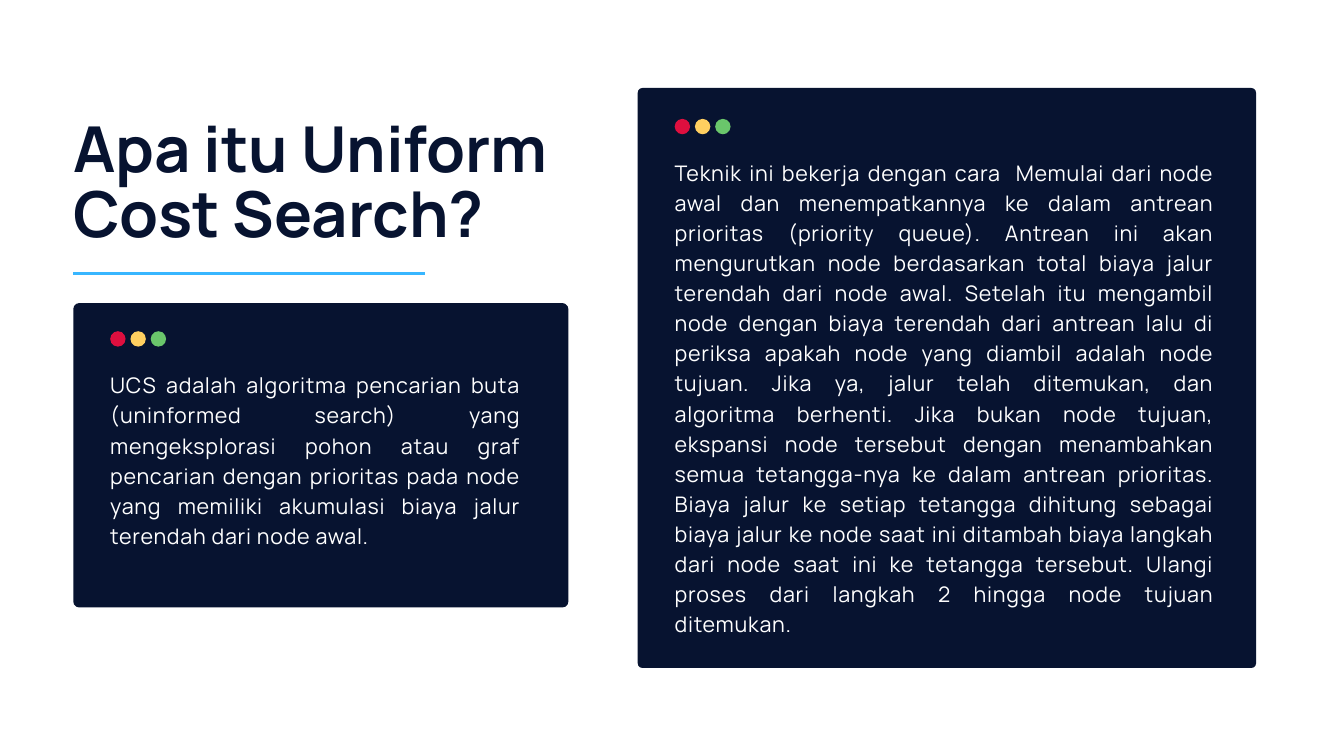
from lxml.etree import SubElement
from pptx import Presentation
from pptx.dml.color import RGBColor
from pptx.enum.shapes import MSO_CONNECTOR, MSO_SHAPE
from pptx.enum.text import PP_ALIGN
from pptx.oxml.ns import qn
from pptx.util import Pt

COLORS = {
    "navy": "071330",
    "white": "FFFFFF",
    "red": "DE0F3F",
    "yellow": "FFCF60",
    "green": "6AC66B",
    "blue": "38B6FF",
}
FONT = "Manrope"
TITLE = "Apa itu Uniform Cost Search?"
DEFINITION = (
    "UCS adalah algoritma pencarian buta (uninformed search) yang "
    "mengeksplorasi pohon atau graf pencarian dengan prioritas pada node "
    "yang memiliki akumulasi biaya jalur terendah dari node awal."
)
TECHNIQUE = (
    "Teknik ini bekerja dengan cara  Memulai dari node awal dan "
    "menempatkannya ke dalam antrean prioritas (priority queue). Antrean ini "
    "akan mengurutkan node berdasarkan total biaya jalur terendah dari node "
    "awal. Setelah itu mengambil node dengan biaya terendah dari antrean lalu "
    "di periksa apakah node yang diambil adalah node tujuan. Jika ya, jalur "
    "telah ditemukan, dan algoritma berhenti. Jika bukan node tujuan, ekspansi "
    "node tersebut dengan menambahkan semua tetangga-nya ke dalam antrean "
    "prioritas. Biaya jalur ke setiap tetangga dihitung sebagai biaya jalur ke "
    "node saat ini ditambah biaya langkah dari node saat ini ke tetangga "
    "tersebut. Ulangi proses dari langkah 2 hingga node tujuan ditemukan."
)


def rgb(name):
    """Return the named palette colour."""
    return RGBColor.from_string(COLORS[name])


def add_shape(slide, kind, box, color):
    """Add a flat filled shape without outline."""
    sp = slide.shapes.add_shape(kind, *(Pt(v) for v in box))
    sp.shadow.inherit = False
    sp.fill.solid()
    sp.fill.fore_color.rgb = rgb(color)
    sp.line.fill.background()
    return sp


def add_text(slide, box, text, size, leading, color, bold=False,
             align=PP_ALIGN.LEFT, tracking=0):
    """Add a one-paragraph text box without margins."""
    tf = slide.shapes.add_textbox(*(Pt(v) for v in box)).text_frame
    tf.word_wrap = True
    tf.margin_left = tf.margin_top = tf.margin_right = tf.margin_bottom = 0
    p = tf.paragraphs[0]
    p.alignment = align
    p.line_spacing = Pt(leading)
    r = p.add_run()
    r.text = text
    r.font.name = FONT
    r.font.size = Pt(size)
    r.font.bold = bold
    r.font.color.rgb = rgb(color)
    if tracking:
        r._r.get_or_add_rPr().set("spc", str(round(tracking * 100)))


def add_heading(slide, box, rule_width):
    """Add the title with the blue rule at the bottom of its box."""
    x, y, w, h = box
    add_text(slide, (x, y, w, 147.6), TITLE, 67.8, 70.5, "navy", bold=True)
    rule = slide.shapes.add_connector(
        MSO_CONNECTOR.STRAIGHT, Pt(x), Pt(y + h), Pt(x + rule_width), Pt(y + h))
    rule.line.color.rgb = rgb("blue")
    rule.line.width = Pt(3)
    SubElement(rule._element.spPr, qn("a:effectLst"))


def add_window_card(slide, box, text, radius, pad_top, text_size):
    """Add a dark window card with three dots and justified text."""
    x, y, w, h = box
    card = add_shape(slide, MSO_SHAPE.ROUNDED_RECTANGLE, box, "navy")
    card.adjustments[0] = radius / min(w, h)
    left, top = x + 39.6, y + pad_top
    for i, color in enumerate(("red", "yellow", "green")):
        add_shape(slide, MSO_SHAPE.OVAL,
                  (left + i * 21.7, top, 16.5, 16.5), color)
    add_text(slide, (left, top + 39.6, *text_size), text, 23, 32.2, "white",
             align=PP_ALIGN.JUSTIFY, tracking=0.8)


def main():
    """Build the slide and save it."""
    prs = Presentation()
    prs.slide_width, prs.slide_height = Pt(1440), Pt(810)
    slide = prs.slides.add_slide(prs.slide_layouts[6])
    add_window_card(slide, (78.5, 324.7, 530.5, 326.2), DEFINITION,
                    6.5, 30.2, (440, 220.3))
    add_window_card(slide, (683.3, 94.3, 662.5, 621.4), TECHNIQUE,
                    5, 33.1, (578.2, 504))
    add_heading(slide, (78.5, 127.4, 581, 165.6), 376.5)
    prs.save("out.pptx")


if __name__ == "__main__":
    main()
